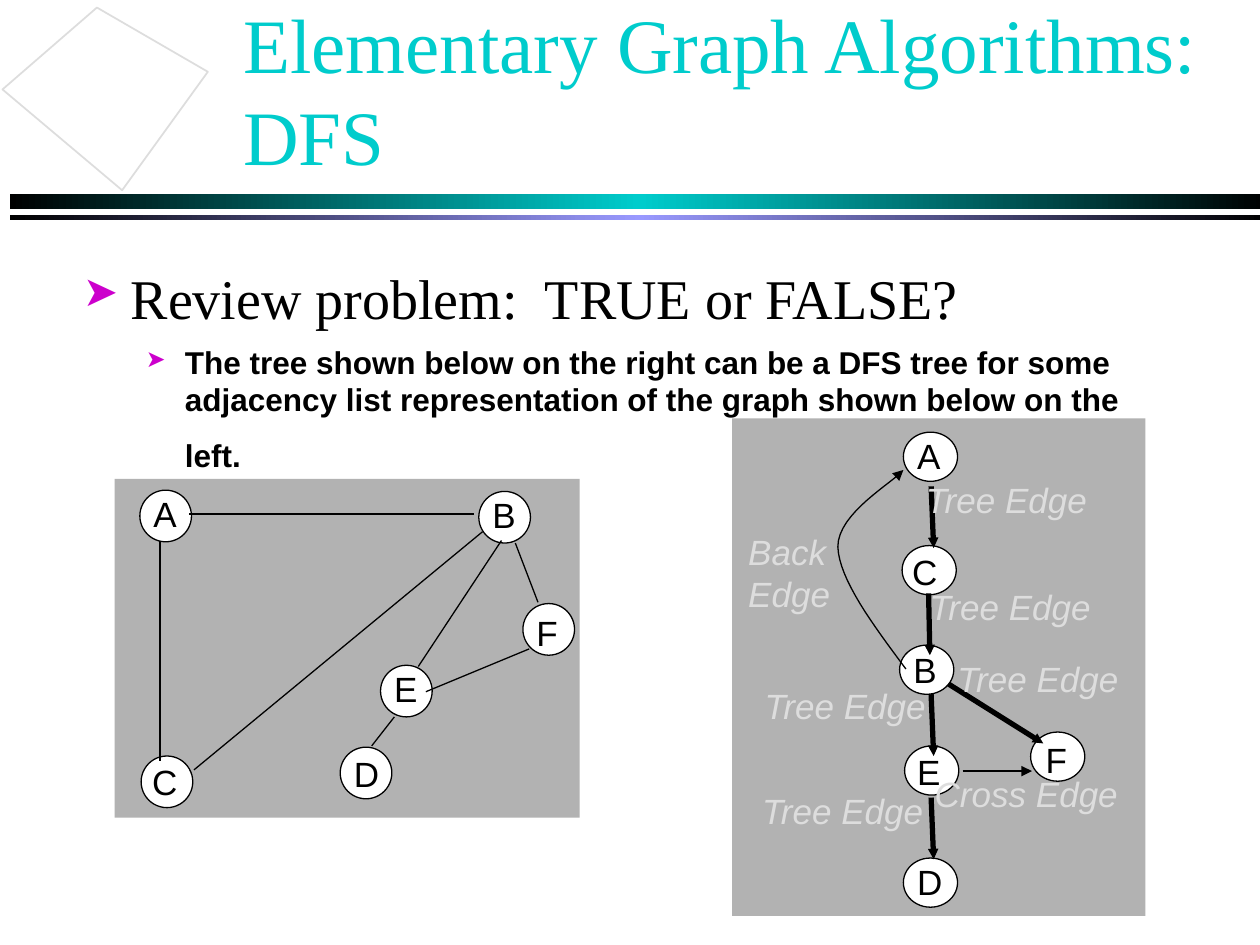
"""Build the depth-first search review slide with its graph and DFS tree."""
from copy import deepcopy

from pptx import Presentation
from pptx.dml.color import RGBColor
from pptx.enum.shapes import MSO_CONNECTOR, MSO_SHAPE
from pptx.enum.text import MSO_ANCHOR, MSO_AUTO_SIZE, PP_ALIGN
from pptx.oxml import parse_xml
from pptx.oxml.ns import nsdecls, qn
from pptx.util import Inches, Pt

RECTANGLE, OVAL = MSO_SHAPE.RECTANGLE, MSO_SHAPE.OVAL
STRAIGHT = MSO_CONNECTOR.STRAIGHT
LEFT, MIDDLE = PP_ALIGN.LEFT, MSO_ANCHOR.MIDDLE
NO_FIT = MSO_AUTO_SIZE.NONE
COLORS = {"ink": "000000", "paper": "FFFFFF", "panel": "B2B2B2", "pale": "DDDDDD",
          "teal": "00CCCC", "violet": "9999FF", "bullet": "CC00CC"}
SERIF, SANS = "Times New Roman", "Arial"

GRAPH_NODES = [("B", 3.8, 3.9, 3.81, 3.87), ("E", 3.02, 5.28, 3.03, 5.25),
               ("C", 1.12, 6, 1.11, 5.99), ("F", 4.15, 4.79, 4.16, 4.8),
               ("D", 2.7, 5.93, 2.71, 5.92), ("A", 1.11, 3.89, 1.12, 3.86)]
GRAPH_EDGES = [((1.27, 4.29), (1.27, 6.04)), ((3.98, 4.29), (3.32, 5.29)),
               ((1.54, 6.11), (3.83, 4.22)), ((4.09, 4.31), (4.27, 4.78)),
               ((1.5, 4.08), (3.76, 4.08)), ((3.13, 5.69), (2.95, 5.92)),
               ((4.2, 5.15), (3.38, 5.49))]
TREE_NODES = [("A", 7.17, 3.43, 7.18, 3.4), ("C", 7.16, 4.33, 7.14, 4.32),
              ("B", 7.14, 5.12, 7.15, 5.1), ("E", 7.18, 5.92, 7.18, 5.91),
              ("D", 7.17, 6.81, 7.18, 6.78), ("F", 8.18, 5.81, 8.2, 5.81)]
TREE_EDGES = [((7.39, 3.86), (7.41, 4.35)), ((7.37, 4.71), (7.38, 5.2)),
              ((7.39, 5.51), (7.41, 6)), ((7.39, 6.33), (7.41, 6.82)),
              ((7.53, 5.43), (8.28, 5.9))]
EDGE_LABELS = [("Tree Edge", 7.25, 3.75, 1.97, 0.62), ("Tree Edge", 7.28, 4.6, 2.19, 0.56),
               ("Tree Edge", 5.97, 5.38, 2.15, 0.86), ("Tree Edge", 5.95, 6.22, 1.79, 0.64),
               ("Tree Edge", 7.5, 5.17, 1.79, 0.58), ("Cross Edge", 7.32, 6.08, 1.84, 0.64),
               ("Back\nEdge", 5.84, 4.16, 1.84, 0.64)]
BACK_EDGE = [[(7.19, 5.31), (6.93, 4.96), (6.66, 4.6), (6.65, 4.34)],
             [(6.65, 4.34), (6.65, 4.07), (7.09, 3.83), (7.17, 3.73)]]


def rgb(name):
    """Return the named colour."""
    return RGBColor.from_string(COLORS[name])


def write(para, text, *, size=20, font=SANS, color="ink", bold=False, italic=False):
    """Append text to a paragraph as one formatted span."""
    span = para.add_run()
    span.text = text
    span.font.size, span.font.name = Pt(size), font
    span.font.bold, span.font.italic = bold, italic
    span.font.color.rgb = rgb(color)
    return span


def curve(points, steps=16):
    """Return points along a cubic Bezier curve."""
    weights = [((1 - t) ** 3, 3 * t * (1 - t) ** 2, 3 * t * t * (1 - t), t ** 3)
               for t in (step / steps for step in range(steps + 1))]
    return [tuple(sum(w * point[axis] for w, point in zip(row, points)) for axis in (0, 1))
            for row in weights]


class SlideBuilder:
    """Hold the style and the current slide."""

    def __init__(self, page):
        self.page, self.shapes = page, page.shapes

    def title(self, lines, left, top, width, height):
        """Format the title placeholder with a hard text shadow."""
        box = self.shapes.title
        box.left, box.top, box.width, box.height = map(Inches, (left, top, width, height))
        frame = box.text_frame
        frame.auto_size, frame.vertical_anchor, frame.word_wrap = NO_FIT, MIDDLE, True
        para = frame.paragraphs[0]
        para.alignment = LEFT
        for index, line in enumerate(lines):
            if index:
                para.add_line_break()
            span = write(para, line, size=44, font=SERIF, color="teal")
            fill = span.font.fill._xPr.find(qn("a:solidFill"))
            fill.addnext(parse_xml(
                f'<a:effectLst {nsdecls("a")}><a:outerShdw dist="35921" dir="2700000">'
                f'<a:srgbClr val="{COLORS["ink"]}"/></a:outerShdw></a:effectLst>'))

    def text(self, text, left, top, width, height, **style):
        """Add a text box with one paragraph per line."""
        box = self.shapes.add_textbox(*map(Inches, (left, top, width, height)))
        frame = box.text_frame
        frame.word_wrap = True
        for index, line in enumerate(text.split("\n")):
            para = frame.add_paragraph() if index else frame.paragraphs[0]
            if line:
                write(para, line, **style)
        return frame

    def bullet(self, para, margin, hanging):
        """Give a paragraph a hanging arrow bullet."""
        props = para._p.get_or_add_pPr()
        props.set("marL", str(Inches(margin)))
        props.set("indent", str(-Inches(hanging)))
        for item in (f'buClr {nsdecls("a")}><a:srgbClr val="{COLORS["bullet"]}"/></a:buClr>',
                     f'buSzPct {nsdecls("a")} val="75000"/>',
                     f'buChar {nsdecls("a")} char="➤"/>'):
            props.append(parse_xml("<a:" + item))

    def shape(self, kind, left, top, width, height, fill, outlined=False):
        """Add a filled preset shape."""
        shape = self.shapes.add_shape(kind, *map(Inches, (left, top, width, height)))
        shape.shadow.inherit = False
        shape.fill.solid()
        shape.fill.fore_color.rgb = rgb(fill)
        if outlined:
            shape.line.color.rgb, shape.line.width = rgb("ink"), Pt(0.75)
        else:
            shape.line.fill.background()
        return shape

    def band(self, top, height, middle):
        """Add a full-width rule fading from black to a colour and back."""
        shape = self.shape(RECTANGLE, 0.08, top, 9.99, height, "ink")
        shape.fill.gradient()
        shape.fill.gradient_angle = 0
        first = shape._element.spPr.find(".//" + qn("a:gs"))
        first.addnext(deepcopy(first))
        stops = shape.fill.gradient_stops
        for stop, position, color in zip(stops, (0, 0.5, 1), ("ink", middle, "ink")):
            stop.position, stop.color.rgb = position, rgb(color)

    def outline(self, points, color, width, fill=None, close=False):
        """Add a freeform through the points."""
        start, *rest = [tuple(map(Inches, point)) for point in points]
        builder = self.shapes.build_freeform(*start)
        builder.add_line_segments(rest, close=close)
        shape = builder.convert_to_shape()
        shape.shadow.inherit = False
        shape.line.color.rgb, shape.line.width = rgb(color), Pt(width)
        if fill:
            shape.fill.solid()
            shape.fill.fore_color.rgb = rgb(fill)
        else:
            shape.fill.background()
        return shape

    def arrowhead(self, shape, size):
        """Put a triangle at the end of a line."""
        shape.line._get_or_add_ln().append(parse_xml(
            f'<a:tailEnd {nsdecls("a")} type="triangle" w="{size}" len="{size}"/>'))

    def edge(self, start, end, width=0.75, head=None):
        """Connect two points, with an arrowhead of the given size if any."""
        line = self.shapes.add_connector(STRAIGHT, *map(Inches, (*start, *end)))
        line.line.color.rgb, line.line.width = rgb("ink"), Pt(width)
        line._element.spPr.append(parse_xml(f'<a:effectLst {nsdecls("a")}/>'))
        if head:
            self.arrowhead(line, head)

    def node(self, name, left, top, label_left, label_top, width, height):
        """Add a circle with its letter."""
        self.shape(OVAL, left, top, width, height, "paper", outlined=True)
        self.text(name, label_left, label_top, 0.6, 0.48)


def main():
    """Build and save the slide."""
    deck = Presentation()
    deck.slide_width, deck.slide_height = Inches(10), Inches(7.5)
    slide = SlideBuilder(deck.slides.add_slide(deck.slide_layouts[5]))

    slide.band(1.54, 0.12, "teal")
    slide.band(1.71, 0.04, "violet")
    slide.outline([(0.97, 1.51), (0.02, 0.71), (0.77, 0.06), (1.65, 0.57)],
                  "pale", 1, fill="paper", close=True)
    slide.shape(RECTANGLE, 5.81, 3.32, 3.28, 3.95, "panel")
    slide.shape(RECTANGLE, 0.91, 3.8, 3.69, 2.69, "panel")
    slide.title(["Elementary Graph Algorithms:", "DFS"], 1.83, 0.08, 8.5, 1.25)

    body = slide.text("Review problem:  TRUE or FALSE?", 0.56, 2.04, 8.5, 4.5,
                      size=32, font=SERIF)
    slide.bullet(body.paragraphs[0], 0.38, 0.38)
    claim = body.add_paragraph()
    claim.level = 1
    slide.bullet(claim, 0.81, 0.31)
    claim.space_before = Pt(7)
    write(claim, "The tree shown below on the right can be a DFS tree for some adjacency "
          "list representation of the graph shown below on the left.", size=18, bold=True)
    write(claim, " ", size=28)

    for node in GRAPH_NODES:
        slide.node(*node, 0.41, 0.41)
    for start, end in GRAPH_EDGES:
        slide.edge(start, end)

    for node in TREE_NODES:
        slide.node(*node, 0.43, 0.39)
    for start, end in TREE_EDGES:
        slide.edge(start, end, width=3, head="sm")
    for label in EDGE_LABELS:
        slide.text(*label, color="pale", italic=True)
    slide.edge((7.64, 6.12), (8.19, 6.12), head="med")
    lower, upper = map(curve, BACK_EDGE)
    slide.arrowhead(slide.outline(lower + upper[1:], "ink", 0.75), "med")

    deck.save("out.pptx")


if __name__ == "__main__":
    main()
